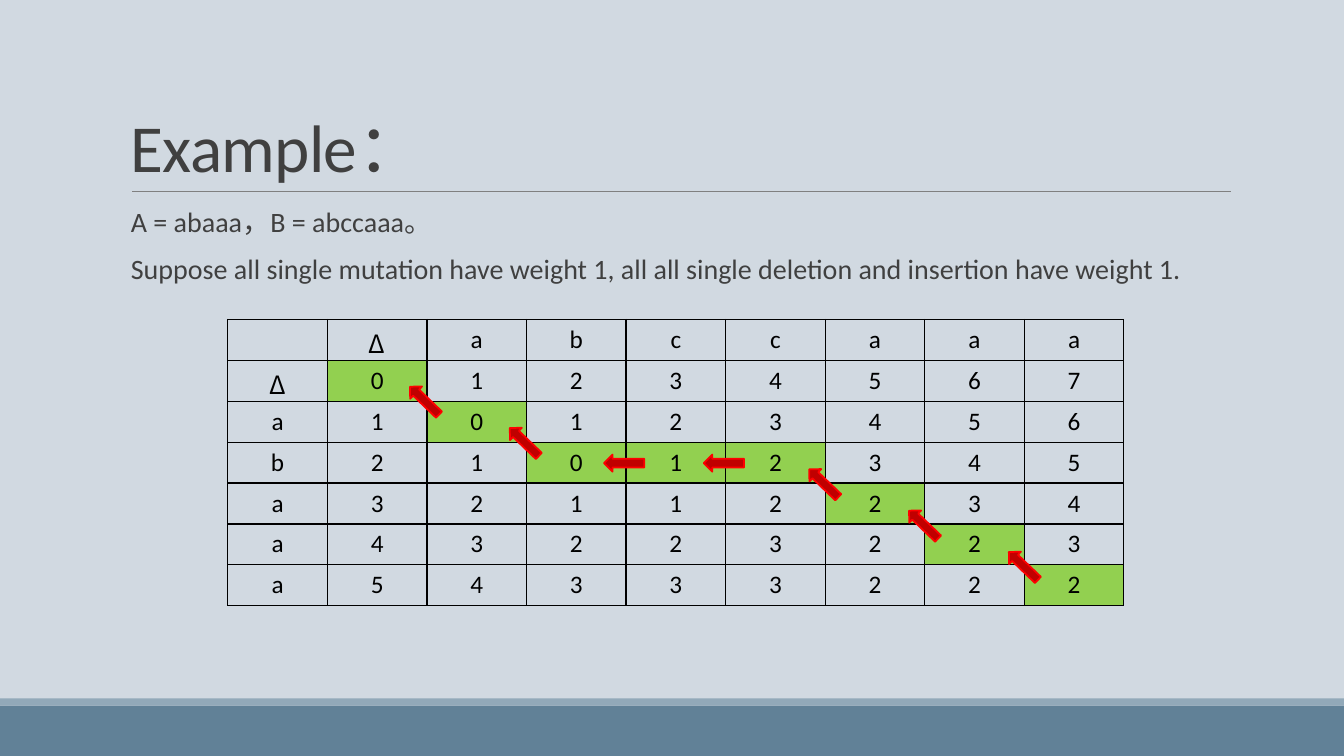
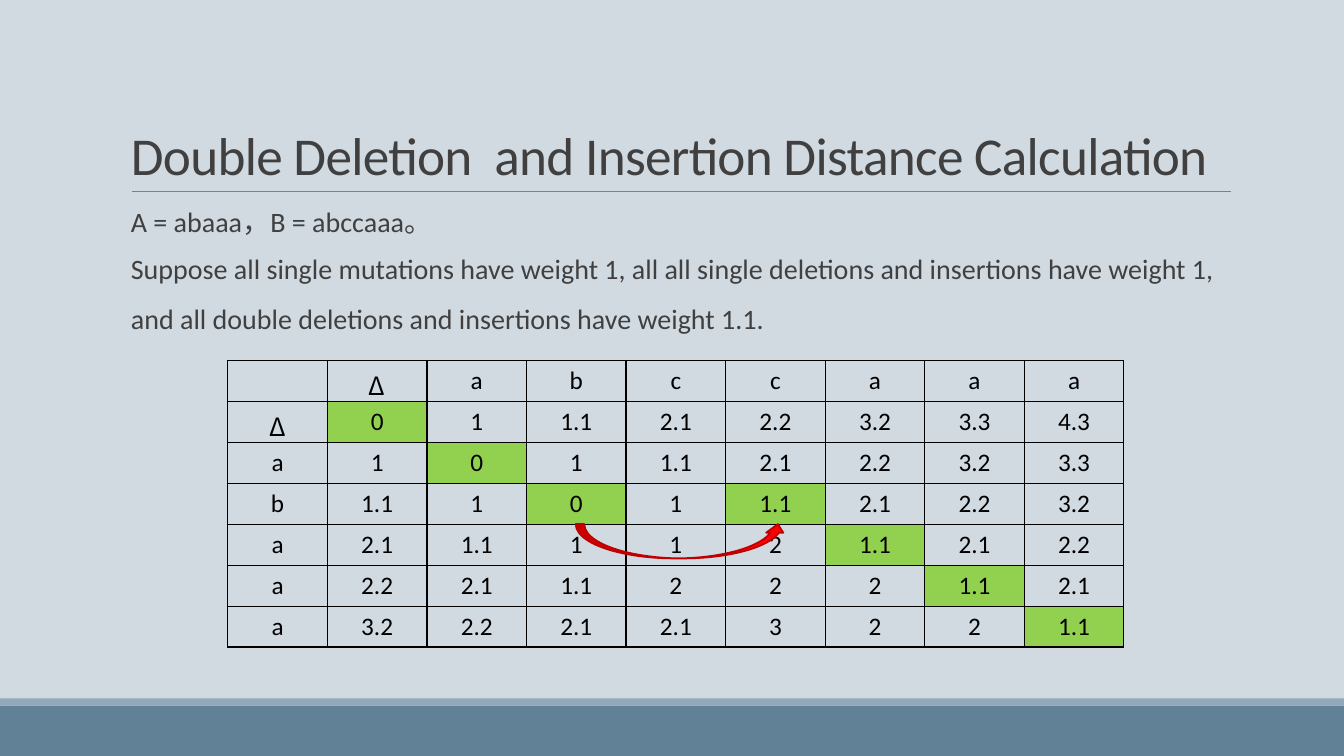
from lxml import etree
from pptx import Presentation
from pptx.dml.color import RGBColor
from pptx.enum import shapes, text
from pptx.oxml import ns
from pptx.util import Inches, Pt

SHAPE = shapes.MSO_SHAPE
LATIN, CJK = "Calibri", "Noto Sans CJK TC"
BLACK, GREY, RED, DARK_RED = "000000", "404040", "FF0000", "C00000"
SEQUENCES = "A = abaaa，B = abccaaa。"
COLUMN, ROW = 0.99, 0.41


def rgb(hex_color):
    return RGBColor.from_string(hex_color)


def write(paragraph, content, size=18, font=LATIN, color=BLACK, spacing=None, align=None):
    """Add one run; East Asian characters always use the CJK font."""
    paragraph.alignment = align
    run = paragraph.add_run()
    run.text = content
    run.font.size = Pt(size)
    run.font.color.rgb = rgb(color)
    run.font.name = font
    properties = run.font._element
    etree.SubElement(properties, ns.qn("a:ea"), typeface=CJK)
    if spacing is not None:
        properties.set("spc", str(round(spacing * 100)))


def draw_borders(cell, color=BLACK, width=1):
    properties = cell._tc.get_or_add_tcPr()
    for side in ("a:lnL", "a:lnR", "a:lnT", "a:lnB"):
        line = etree.SubElement(properties, ns.qn(side), w=str(Pt(width)))
        fill = etree.SubElement(line, ns.qn("a:solidFill"))
        etree.SubElement(fill, ns.qn("a:srgbClr"), val=color)


class Deck:
    background, band, stripe = "D1D9E1", "618197", "92A9B9"
    rule, highlight = "808080", "92D050"
    left, width = 1.2, 11

    def __init__(self):
        self.presentation = Presentation()
        self.presentation.slide_width = Inches(13.33)
        self.presentation.slide_height = Inches(7.5)

    def new_slide(self, title, title_size):
        blank = self.presentation.slide_layouts[6]
        self.slide = self.presentation.slides.add_slide(blank)
        fill = self.slide.background.fill
        fill.solid()
        fill.fore_color.rgb = rgb(self.background)
        self.shape(SHAPE.RECTANGLE, 0, 7, 13.33, 0.5, self.band)
        self.shape(SHAPE.RECTANGLE, 0, 6.93, 13.33, 0.07, self.stripe)
        self.title_rule()
        self.text_box([title], 0.31, 1.59, anchor=text.MSO_ANCHOR.BOTTOM,
                      line_spacing=0.85, size=title_size, spacing=-0.5)

    def title_rule(self):
        rule = self.slide.shapes.add_connector(
            shapes.MSO_CONNECTOR.STRAIGHT,
            Inches(1.31), Inches(1.9), Inches(12.21), Inches(1.9))
        rule.line.color.rgb = rgb(self.rule)
        rule.line.width = Pt(0.5)
        etree.SubElement(rule._element.spPr, ns.qn("a:effectLst"))

    def shape(self, kind, left, top, width, height, fill, line=None, rotation=0):
        shape = self.slide.shapes.add_shape(
            kind, Inches(left), Inches(top), Inches(width), Inches(height))
        shape.shadow.inherit = False
        shape.rotation = rotation
        shape.fill.solid()
        shape.fill.fore_color.rgb = rgb(fill)
        if line:
            shape.line.color.rgb = rgb(line)
            shape.line.width = Pt(1.25)
        else:
            shape.line.fill.background()

    def text_box(self, lines, top, height, anchor=text.MSO_ANCHOR.TOP,
                 line_spacing=0.9, **style):
        box = self.slide.shapes.add_textbox(
            Inches(self.left), Inches(top), Inches(self.width), Inches(height))
        frame = box.text_frame
        frame.word_wrap = True
        frame.vertical_anchor = anchor
        frame.margin_right = 0
        for index, line in enumerate(lines):
            paragraph = frame.add_paragraph() if index else frame.paragraphs[0]
            paragraph.line_spacing = line_spacing
            if index:
                paragraph.space_before = Pt(12)
                paragraph.space_after = Pt(2)
            write(paragraph, line, color=GREY, **style)

    def body(self, lines):
        self.text_box(lines, 2.02, 4.4, size=20)

    def distance_table(self, top, rows, path):
        """Draw the distance matrix with the cells of the path highlighted."""
        matrix = [["", *"Δabccaaa"]]
        matrix += [[head, *row.split()] for head, row in zip("Δabaaa", rows)]
        height, width = len(matrix), len(matrix[0])
        table = self.slide.shapes.add_table(
            height, width, Inches(2.26), Inches(top),
            Inches(8.89), Inches(2.84)).table
        table.first_row = table.horz_banding = False
        for r, values in enumerate(matrix):
            for c, value in enumerate(values):
                cell = table.cell(r, c)
                draw_borders(cell)
                if (r, c) in path:
                    cell.fill.solid()
                    cell.fill.fore_color.rgb = rgb(self.highlight)
                else:
                    cell.fill.background()
                write(cell.text_frame.paragraphs[0], value,
                      font=CJK if value == "Δ" else LATIN,
                      align=text.PP_ALIGN.CENTER)

    def traceback_arrows(self, path):
        """Point an arrow from each path cell back to the one before it."""
        for (row, column), (next_row, _) in zip(path, path[1:]):
            diagonal = next_row > row
            left = 4.01 + COLUMN * (column - 1)
            top = 3.89 + ROW * (row - 1) - (0 if diagonal else 0.2)
            self.shape(SHAPE.LEFT_ARROW, left, top, 0.4, 0.17, DARK_RED, RED,
                       rotation=43.9 if diagonal else 0)


def main():
    deck = Deck()

    deck.new_slide("Example：", 48)
    deck.body([
        SEQUENCES,
        "Suppose all single mutation have weight 1, all all single deletion and insertion have weight 1.",
    ])
    single_path = [(1, 1), (2, 2), (3, 3), (3, 4), (3, 5), (4, 6), (5, 7), (6, 8)]
    deck.distance_table(3.17, [
        "0 1 2 3 4 5 6 7",
        "1 0 1 2 3 4 5 6",
        "2 1 0 1 2 3 4 5",
        "3 2 1 1 2 2 3 4",
        "4 3 2 2 3 2 2 3",
        "5 4 3 3 3 2 2 2",
    ], single_path)
    deck.traceback_arrows(single_path)

    deck.new_slide("Double Deletion  and Insertion Distance Calculation", 38)
    deck.body([
        SEQUENCES,
        "Suppose all single mutations have weight 1, all all single deletions and insertions have weight 1,",
        "and all double deletions and insertions have weight 1.1.",
    ])
    double_path = [cell for cell in single_path if cell != (3, 4)]
    deck.distance_table(3.58, [
        "0 1 1.1 2.1 2.2 3.2 3.3 4.3",
        "1 0 1 1.1 2.1 2.2 3.2 3.3",
        "1.1 1 0 1 1.1 2.1 2.2 3.2",
        "2.1 1.1 1 1 2 1.1 2.1 2.2",
        "2.2 2.1 1.1 2 2 2 1.1 2.1",
        "3.2 2.2 2.1 2.1 3 2 2 1.1",
    ], double_path)
    deck.shape(SHAPE.CURVED_UP_ARROW, 5.71, 5.2, 2.09, 0.34, RED, DARK_RED)

    deck.presentation.save("out.pptx")


if __name__ == "__main__":
    main()
